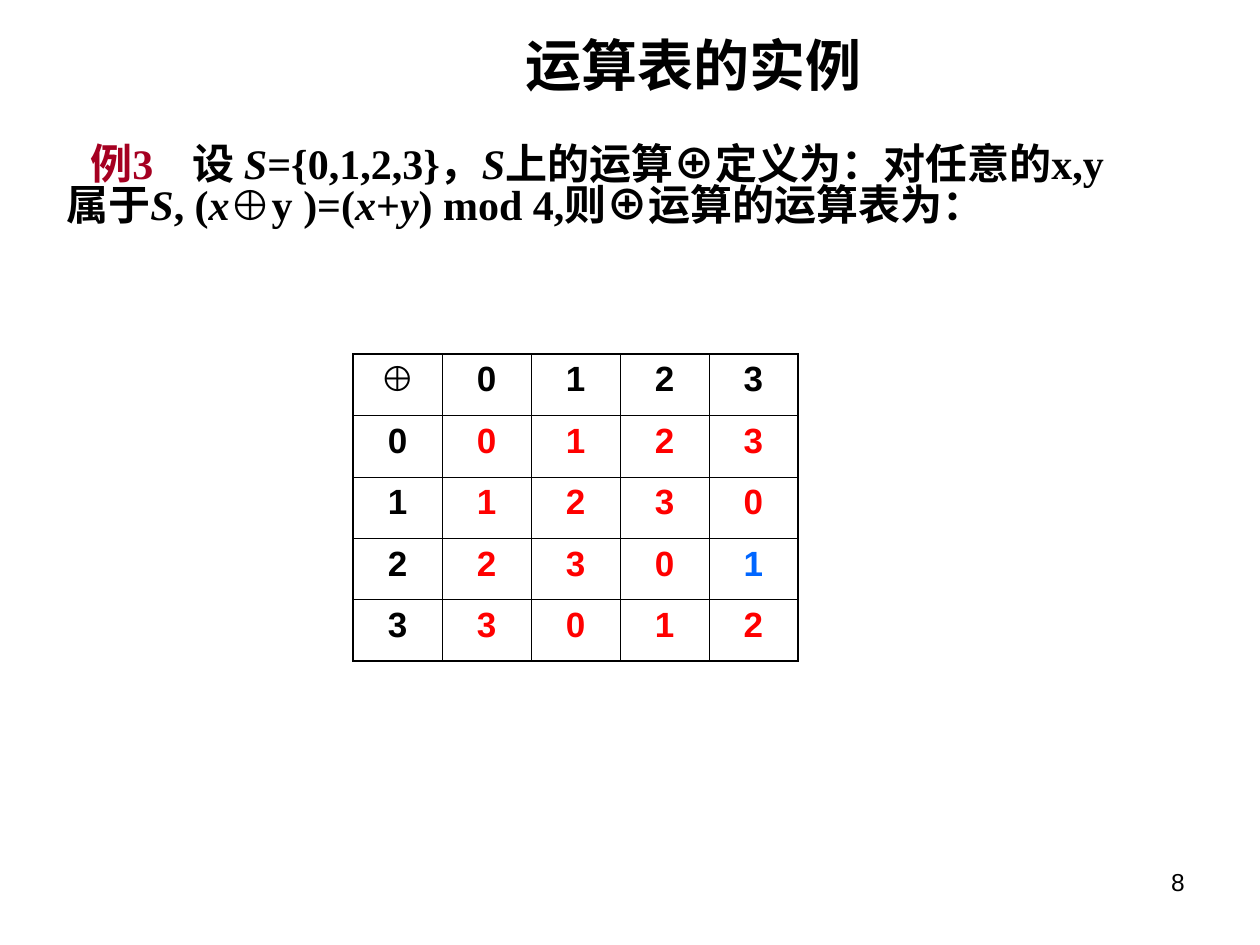
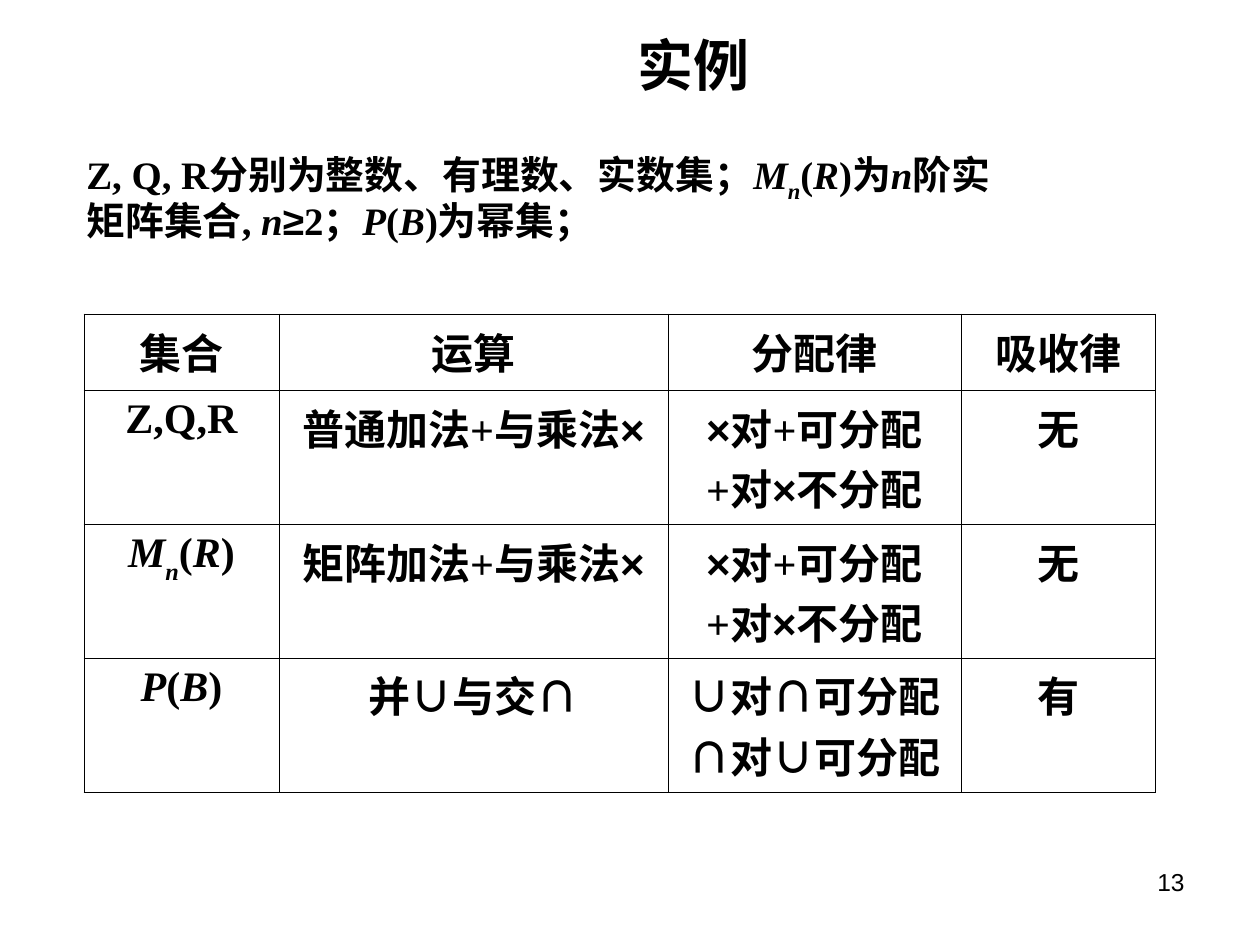
from itertools import groupby

from lxml import etree
from pptx import Presentation
from pptx.dml.color import RGBColor
from pptx.enum.text import MSO_ANCHOR as Anchor, PP_ALIGN as Align
from pptx.oxml.ns import qn
from pptx.util import Emu, Pt

EMU_PER_PX = 914400 / 126
COLORS = {
    "ink": "000000",
    "example": "A50021",
    "result": "FF0000",
    "highlight": "0066FF",
}
SERIF, SANS = "Times New Roman", "Arial"
OPERATORS = "⊕×∪∩≥"  # always set in the sans font
THIN, THICK = 0.45, 1.08


def px(length):
    return Emu(round(length * EMU_PER_PX))


def style_run(run, size, color="ink", font=SERIF, bold=True):
    run.font.size = Pt(size)
    run.font.name = font
    run.font.bold = bold
    run.font.color.rgb = RGBColor.from_string(COLORS[color])


def add_rich_text(paragraph, markup, size, color="ink", font=SERIF, drop=-30):
    """Write markup: *x* is italic, _x_ an italic subscript."""
    italic = subscript = False
    letters = []
    for char in markup:
        if char == "*":
            italic = not italic
        elif char == "_":
            subscript = not subscript
        else:
            face = SANS if char in OPERATORS else font
            letters.append((char, (face, italic, subscript)))
    for (face, slanted, lowered), group in groupby(letters, lambda item: item[1]):
        run = paragraph.add_run()
        run.text = "".join(char for char, _ in group)
        style_run(run, size, color, face)
        run.font.italic = slanted or lowered
        if lowered:
            run.font._element.set("baseline", str(drop * 1000))


def add_text_frame(slide, left, top, width, height, anchor=Anchor.TOP):
    frame = slide.shapes.add_textbox(*map(px, (left, top, width, height))).text_frame
    frame.word_wrap = True
    frame.vertical_anchor = anchor
    return frame


# Shared slide parts
def add_slide(prs, title, number, title_font=SERIF):
    slide = prs.slides.add_slide(prs.slide_layouts[6])
    heading = add_text_frame(slide, 272, 35, 843, 58, Anchor.MIDDLE).paragraphs[0]
    heading.alignment = Align.CENTER
    add_rich_text(heading, title, 32, font=title_font)
    page = add_text_frame(slide, 903, 861, 294, 65).paragraphs[0]
    page.text = str(number)
    page.alignment = Align.RIGHT
    style_run(page.runs[0], 14, font=SANS, bold=False)
    return slide


# Tables
def set_borders(cell, widths):
    properties = cell._tc.get_or_add_tcPr()
    for position, (side, width) in enumerate(widths.items()):
        line = etree.Element(qn(f"a:{side}"), w=str(Pt(width)))
        fill = etree.SubElement(line, qn("a:solidFill"))
        etree.SubElement(fill, qn("a:srgbClr"), val=COLORS["ink"])
        properties.insert(position, line)


def add_grid(slide, left, top, column_widths, row_heights, outline=THIN):
    row_count, column_count = len(row_heights), len(column_widths)
    table = slide.shapes.add_table(
        row_count, column_count, px(left), px(top),
        px(sum(column_widths)), px(sum(row_heights))).table
    table.first_row = table.horz_banding = False
    for column, width in zip(table.columns, column_widths):
        column.width = px(width)
    for row, height in zip(table.rows, row_heights):
        row.height = px(height)
    for r in range(row_count):
        for c in range(column_count):
            cell = table.cell(r, c)
            cell.fill.background()
            set_borders(cell, {
                "lnL": outline if c == 0 else THIN,
                "lnR": outline if c == column_count - 1 else THIN,
                "lnT": outline if r == 0 else THIN,
                "lnB": outline if r == row_count - 1 else THIN,
            })
    return table


def fill_cell(cell, lines, size, color="ink", font=SERIF):
    frame = cell.text_frame
    for index, line in enumerate(lines):
        paragraph = frame.add_paragraph() if index else frame.paragraphs[0]
        paragraph.alignment = Align.CENTER
        add_rich_text(paragraph, line, size, color, font)


# Slide: operation table of addition modulo 4
def add_operation_table_slide(prs):
    slide = add_slide(prs, "运算表的实例", 8)
    definition = add_text_frame(slide, 54, 140, 1091, 135).paragraphs[0]
    definition.line_spacing = 0.82
    properties = definition._p.get_or_add_pPr()
    properties.set("indent", str(px(24)))
    tabs = etree.SubElement(properties, qn("a:tabLst"))
    etree.SubElement(tabs, qn("a:tab"), pos=str(px(123)), algn="l")
    add_rich_text(definition, "例3", 24, "example")
    add_rich_text(
        definition,
        "\t设 *S*={0,1,2,3}，*S*上的运算⊕定义为：对任意的x,y属于*S*, "
        "(*x*⊕y )=(*x*+*y*) mod 4,则⊕运算的运算表为：", 24)

    modulus = 4
    table = add_grid(slide, 353, 354, [89] * (modulus + 1),
                     [61.5] * (modulus + 1), THICK)
    fill_cell(table.cell(0, 0), ["⊕"], 20, font=SANS)
    for x in range(modulus):
        fill_cell(table.cell(0, x + 1), [str(x)], 20, font=SANS)
        fill_cell(table.cell(x + 1, 0), [str(x)], 20, font=SANS)
        for y in range(modulus):
            color = "highlight" if (x, y) == (2, 3) else "result"
            fill_cell(table.cell(x + 1, y + 1), [str((x + y) % modulus)],
                      20, color, SANS)


# Slide: distributive and absorption laws
def add_laws_slide(prs):
    slide = add_slide(prs, "实例", 13, SANS)
    addition_laws = ["×对+可分配", "+对×不分配"]
    rows = [
        (["集合"], ["运算"], ["分配律"], ["吸收律"]),
        (["Z,Q,R"], ["普通加法+与乘法×"], addition_laws, ["无"]),
        (["*M*_n_(*R*)"], ["矩阵加法+与乘法×"], addition_laws, ["无"]),
        (["*P*(*B*)"], ["并∪与交∩"], ["∪对∩可分配", "∩对∪可分配"], ["有"]),
    ]
    table = add_grid(slide, 84, 314, [195, 389, 293, 195], [76, 134, 134, 134])
    for r, row in enumerate(rows):
        for c, lines in enumerate(row):
            fill_cell(table.cell(r, c), lines, 24)

    notation = add_text_frame(slide, 74, 145, 1032, 129)
    sentences = [
        "Z, Q, R分别为整数、有理数、实数集；*M*_n_(*R*)为*n*阶实",
        "矩阵集合, *n*≥2；*P*(*B*)为幂集；",
    ]
    for index, sentence in enumerate(sentences):
        paragraph = notation.add_paragraph() if index else notation.paragraphs[0]
        paragraph.line_spacing = 0.9
        if index:
            paragraph.space_before = Pt(2)
        add_rich_text(paragraph, sentence, 22.2, drop=-25)


def main():
    prs = Presentation()
    prs.slide_width, prs.slide_height = px(1260), px(945)
    add_operation_table_slide(prs)
    add_laws_slide(prs)
    prs.save("out.pptx")


if __name__ == "__main__":
    main()
